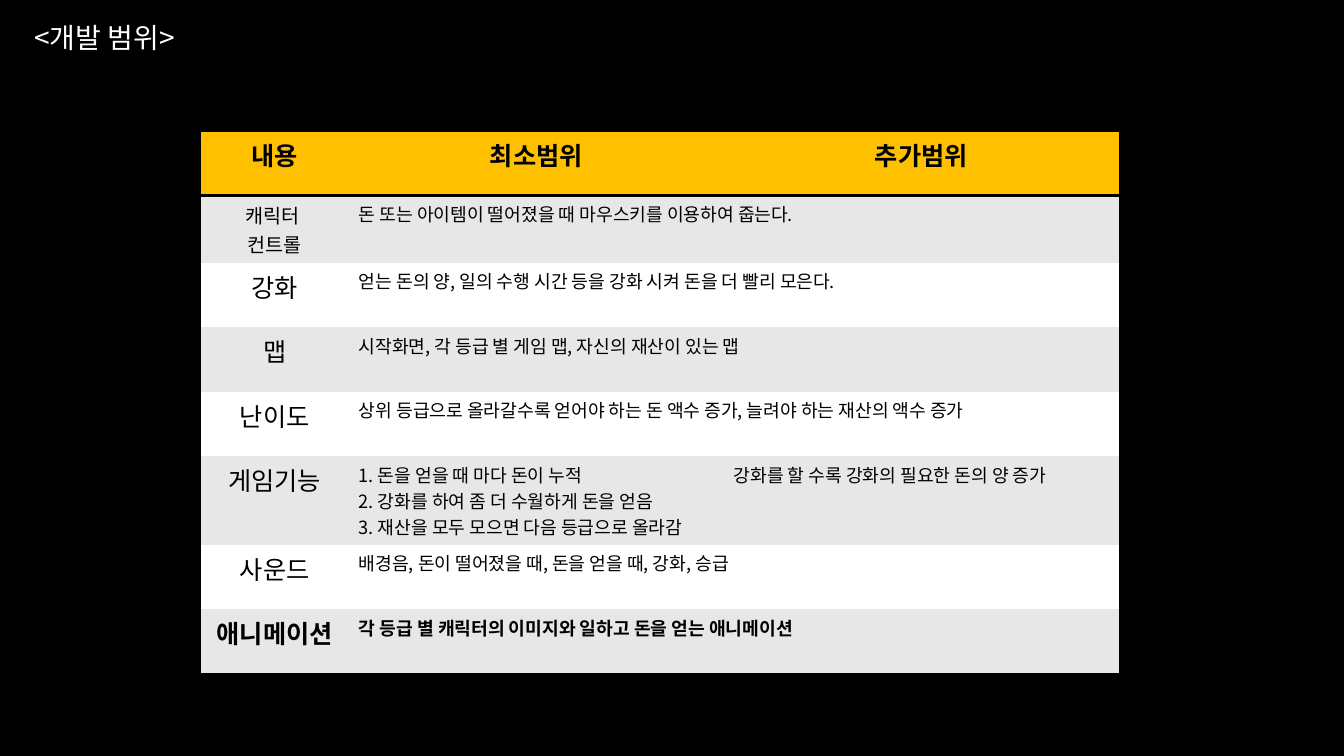
"""Build the development scope slide: a title and a table of scope by topic."""
import dataclasses

import lxml.etree
import pptx
import pptx.dml.color
import pptx.enum.text
import pptx.oxml
import pptx.oxml.ns
import pptx.util

Pt = pptx.util.Pt
qn = pptx.oxml.ns.qn
PLAIN_TABLE = "{2D5ABB26-0587-4C30-8999-92F81FD0307C}"


@dataclasses.dataclass(frozen=True)
class Theme:
    font: str = "Noto Sans CJK KR"
    black: str = "000000"
    white: str = "FFFFFF"
    gold: str = "FFC000"
    grey: str = "E7E7E7"
    title: int = 20
    topic: int = 18
    small_topic: int = 14
    body: int = 13
    rule: int = 2


THEME = Theme()
CENTER = {"alignment": pptx.enum.text.PP_ALIGN.CENTER}
HANGING = {"marL": Pt(27), "indent": Pt(-27)}
COLUMN_WIDTHS = (105.84, 267.84, 282.24)
ROW_HEIGHT = 46.08
HEADINGS = ("내용", "최소범위", "추가범위")
SCOPES = (
    ("캐릭터 \n컨트롤", "돈 또는 아이템이 떨어졌을 때 마우스키를 이용하여 줍는다."),
    ("강화", "얻는 돈의 양, 일의 수행 시간 등을 강화 시켜 돈을 더 빨리 모은다."),
    ("맵", "시작화면, 각 등급 별 게임 맵, 자신의 재산이 있는 맵"),
    ("난이도", "상위 등급으로 올라갈수록 얻어야 하는 돈 액수 증가, 늘려야 하는 재산의 액수 증가"),
    ("게임기능",
     "1. 돈을 얻을 때 마다 돈이 누적\n2. 강화를 하여 좀 더 수월하게 돈을 얻음\n3. 재산을 모두 모으면 다음 등급으로 올라감",
     "강화를 할 수록 강화의 필요한 돈의 양 증가"),
    ("사운드", "배경음, 돈이 떨어졌을 때, 돈을 얻을 때, 강화, 승급"),
    ("애니메이션", "각 등급 별 캐릭터의 이미지와 일하고 돈을 얻는 애니메이션"),
)


def rgb(color):
    return pptx.dml.color.RGBColor.from_string(color)


def set_attributes(target, values):
    for name, value in values.items():
        setattr(target, name, value)


def write_text(tf, text, size, color, bold=False, layout=None, indents=None):
    for i, line in enumerate(text.split("\n")):
        p = tf.paragraphs[0] if i == 0 else tf.add_paragraph()
        set_attributes(p, layout or {})
        for name, value in (indents or {}).items():
            p._p.get_or_add_pPr().set(name, str(int(value)))
        r = p.add_run()
        r.text = line
        set_attributes(r.font, {"name": THEME.font, "size": Pt(size), "bold": bold})
        r.font.color.rgb = rgb(color)
        ea = lxml.etree.SubElement(r._r.get_or_add_rPr(), qn("a:ea"))
        ea.set("typeface", THEME.font)


def fill_cell(cell, color, edges=()):
    cell.fill.solid()
    cell.fill.fore_color.rgb = rgb(color)
    for i, edge in enumerate(edges):
        ln = pptx.oxml.parse_xml(
            f'<a:{edge} {pptx.oxml.ns.nsdecls("a")} w="{int(Pt(THEME.rule))}">'
            f'<a:solidFill><a:srgbClr val="{THEME.black}"/></a:solidFill></a:{edge}>')
        cell._tc.get_or_add_tcPr().insert(i, ln)


def add_title(s, text):
    sp = s.shapes.add_textbox(Pt(17.28), Pt(10.8), Pt(130.32), Pt(31.68))
    tf = sp.text_frame
    set_attributes(tf, {"word_wrap": True,
                        "auto_size": pptx.enum.text.MSO_AUTO_SIZE.SHAPE_TO_FIT_TEXT})
    write_text(tf, text, THEME.title, THEME.white)


def add_header(table):
    for cell, heading in zip(table.rows[0].cells, HEADINGS):
        fill_cell(cell, THEME.gold, ("lnT", "lnB"))
        write_text(cell.text_frame, heading, THEME.topic, THEME.black, True, CENTER)


def add_scope(table, row, scope):
    is_last = row == len(SCOPES)
    cells = [table.cell(row, col) for col in range(len(HEADINGS))]
    for cell in cells:
        fill_cell(cell, THEME.grey if row % 2 else THEME.white, ("lnB",) if is_last else ())
    topic, *details = scope
    size = THEME.small_topic if "\n" in topic else THEME.topic
    write_text(cells[0].text_frame, topic, size, THEME.black, is_last, CENTER)
    if len(details) == 1:
        cells[1].merge(cells[2])
    indents = HANGING if len(details) > 1 else None
    for cell, detail in zip(cells[1:], details):
        write_text(cell.text_frame, detail, THEME.body, THEME.black, is_last, indents=indents)


def add_scope_table(s):
    rows = len(SCOPES) + 1
    sp = s.shapes.add_table(rows, len(HEADINGS), Pt(143.28), Pt(93.6),
                            Pt(sum(COLUMN_WIDTHS)), Pt(rows * ROW_HEIGHT))
    table = sp.table
    set_attributes(table, {"first_row": True, "horz_banding": False})
    table._tbl.tblPr.find(qn("a:tableStyleId")).text = PLAIN_TABLE
    for column, width in zip(table.columns, COLUMN_WIDTHS):
        column.width = Pt(width)
    for row in table.rows:
        row.height = Pt(ROW_HEIGHT)
    add_header(table)
    for row, scope in enumerate(SCOPES, 1):
        add_scope(table, row, scope)


def main():
    prs = pptx.Presentation()
    set_attributes(prs, {"slide_width": Pt(960), "slide_height": Pt(540)})
    s = prs.slides.add_slide(prs.slide_layouts[6])
    s.background.fill.solid()
    s.background.fill.fore_color.rgb = rgb(THEME.black)
    add_scope_table(s)
    add_title(s, "<개발 범위>")
    prs.save("out.pptx")


if __name__ == "__main__":
    main()
